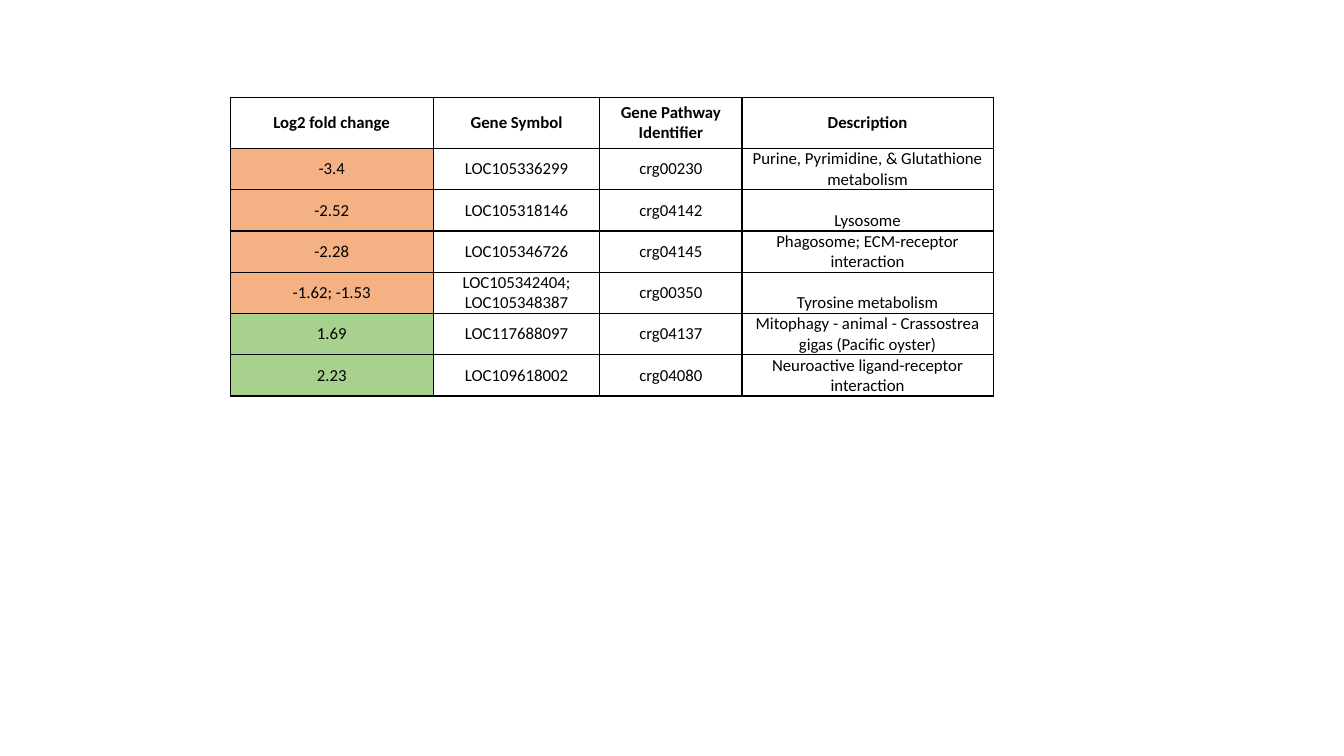
import pptx
import pptx.dml.color
import pptx.enum.text
import pptx.oxml.ns
import pptx.util
from lxml import etree

Pt = pptx.util.Pt
RGBColor = pptx.dml.color.RGBColor
MSO_ANCHOR = pptx.enum.text.MSO_ANCHOR

BLACK = RGBColor(0x00, 0x00, 0x00)
DOWN_ORANGE = RGBColor(0xF4, 0xB1, 0x83)
UP_GREEN = RGBColor(0xA9, 0xD1, 0x8E)

COLUMN_WIDTHS = [145, 119, 101.5, 179.5]
ROW_HEIGHT = 29.5
GENE_ROWS = [
    ["Log2 fold change", "Gene Symbol", "Gene Pathway Identifier", "Description"],
    ["-3.4", "LOC105336299", "crg00230", "Purine, Pyrimidine, & Glutathione metabolism"],
    ["-2.52", "LOC105318146", "crg04142", "Lysosome"],
    ["-2.28", "LOC105346726", "crg04145", "Phagosome; ECM-receptor interaction"],
    ["-1.62; -1.53", "LOC105342404; LOC105348387", "crg00350", "Tyrosine metabolism"],
    ["1.69", "LOC117688097", "crg04137",
     "Mitophagy - animal - Crassostrea gigas (Pacific oyster)"],
    ["2.23", "LOC109618002", "crg04080", "Neuroactive ligand-receptor interaction"],
]


def add_borders(cell):
    """Draw a 1 pt black line on all four sides of a cell."""
    qn = pptx.oxml.ns.qn
    properties = cell._tc.get_or_add_tcPr()
    for side in ("a:lnL", "a:lnR", "a:lnT", "a:lnB"):
        line = etree.SubElement(properties, qn(side), w=str(Pt(1)))
        fill = etree.SubElement(line, qn("a:solidFill"))
        etree.SubElement(fill, qn("a:srgbClr"), val=str(BLACK))


presentation = pptx.Presentation()
presentation.slide_width = Pt(960)
presentation.slide_height = Pt(540)
slide = presentation.slides.add_slide(presentation.slide_layouts[6])

gene_frame = slide.shapes.add_table(
    len(GENE_ROWS), len(COLUMN_WIDTHS), Pt(164.5), Pt(69.5),
    Pt(sum(COLUMN_WIDTHS)), Pt(ROW_HEIGHT * len(GENE_ROWS)))
gene_table = gene_frame.table
gene_table.horz_banding = False
for column, width in zip(gene_table.columns, COLUMN_WIDTHS):
    column.width = Pt(width)

for row_index, texts in enumerate(GENE_ROWS):
    is_header = row_index == 0
    gene_table.rows[row_index].height = Pt(ROW_HEIGHT)
    for column_index, text in enumerate(texts):
        cell = gene_table.cell(row_index, column_index)
        add_borders(cell)
        if column_index == 0 and not is_header:
            cell.fill.solid()
            cell.fill.fore_color.rgb = DOWN_ORANGE if text.startswith("-") else UP_GREEN
        else:
            cell.fill.background()

        is_description = column_index == len(COLUMN_WIDTHS) - 1 and not is_header
        cell.vertical_anchor = MSO_ANCHOR.BOTTOM if is_description else MSO_ANCHOR.MIDDLE
        if not is_header:
            cell.margin_left = cell.margin_right = Pt(0)
            cell.margin_top = cell.margin_bottom = Pt(0)

        cell.text_frame.text = text
        paragraph = cell.text_frame.paragraphs[0]
        paragraph.alignment = pptx.enum.text.PP_ALIGN.CENTER
        font = paragraph.runs[0].font
        font.name = "Calibri"
        font.size = Pt(12)
        font.bold = is_header
        font.color.rgb = BLACK

presentation.save("out.pptx")
